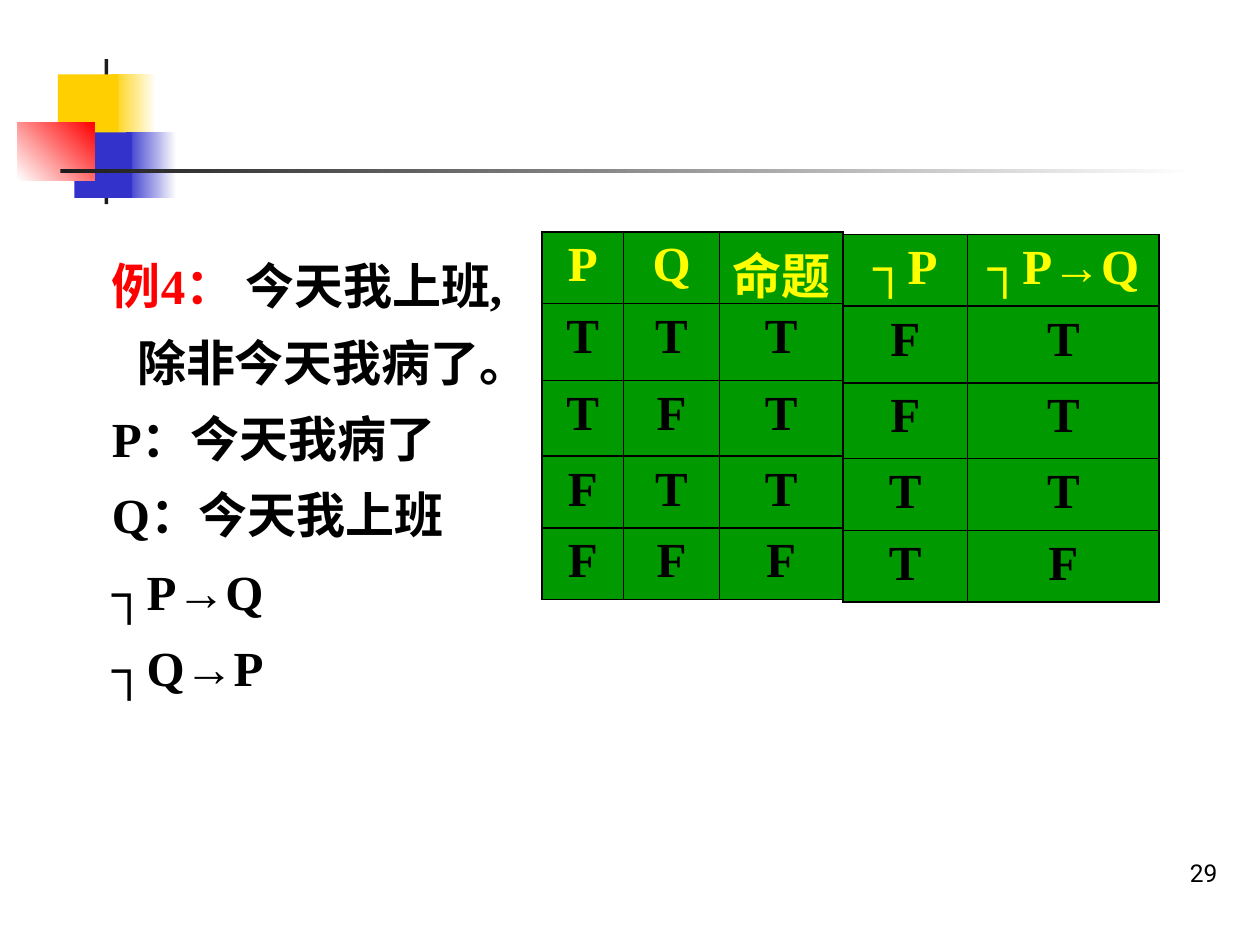
from lxml.etree import SubElement
from pptx import Presentation
from pptx.dml.color import RGBColor
from pptx.enum.shapes import MSO_SHAPE
from pptx.enum.text import MSO_ANCHOR, PP_ALIGN
from pptx.oxml.ns import qn
from pptx.util import Inches, Pt

BLACK, WHITE, RED, YELLOW, GREEN = "000000", "FFFFFF", "FF0000", "FFFF00", "009900"
GOLD, BLUE, DARK = "FFCF01", "3333CC", "1C1C1C"
SERIF = "Times New Roman"

# left, top, width, height, colours (two make a gradient), angle
ORNAMENTS = [
    (0.88, 0.59, 0.36, 0.52, (GOLD, WHITE), 0),
    (1.0, 1.05, 0.4, 0.52, (BLUE, WHITE), 0),
    (0.83, 0.47, 0.03, 1.15, (DARK,), 0),
    (0.46, 0.59, 0.48, 0.52, (GOLD,), 0),
    (0.59, 1.05, 0.46, 0.52, (BLUE,), 0),
    (0.14, 0.97, 0.61, 0.46, (WHITE, RED), 45),
    (0.48, 1.34, 9, 0.03, (DARK, WHITE), 0),
]
EXAMPLE = [[("例4：", RED), (" 今天我上班, 除非今天我病了。", BLACK)]]
SYMBOLS = [[(line, BLACK)] for line in ("P：今天我病了", "Q：今天我上班", "┐P→Q", "┐Q→P")]
ROW_HEIGHTS = [0.57, 0.61, 0.6, 0.57, 0.57]
# left, top, column widths, rows
TABLES = [
    (4.3, 1.84, [0.65, 0.76, 0.98],
     [["P", "Q", "命题"], "TTT", "TFT", "FTT", "FFF"]),
    (6.69, 1.86, [0.99, 1.52],
     [["┐P", "┐P→Q"], "FT", "FT", "TT", "TF"]),
]


def rgb(colour):
    return RGBColor.from_string(colour)


def add_span(para, text, size=28, font=SERIF, colour=BLACK, bold=True):
    span = para.add_run()
    span.text = text
    span.font.size = Pt(size)
    span.font.name = font
    span.font.bold = bold
    span.font.color.rgb = rgb(colour)


def add_ornament(slide, left, top, width, height, colours, angle):
    shape = slide.shapes.add_shape(
        MSO_SHAPE.RECTANGLE, Inches(left), Inches(top), Inches(width), Inches(height))
    shape.shadow.inherit = False
    shape.line.fill.background()
    if len(colours) == 1:
        shape.fill.solid()
        shape.fill.fore_color.rgb = rgb(colours[0])
        return
    shape.fill.gradient()
    shape.fill.gradient_angle = angle
    for stop, colour, position in zip(shape.fill.gradient_stops, colours, (0, 1)):
        stop.color.rgb = rgb(colour)
        stop.position = position


def add_text(slide, left, top, width, height, paragraphs, align=PP_ALIGN.LEFT,
             anchor=MSO_ANCHOR.TOP, line_spacing=1.0, hanging=0, right_inset=0.1, **style):
    box = slide.shapes.add_textbox(Inches(left), Inches(top), Inches(width), Inches(height))
    frame = box.text_frame
    frame.word_wrap = True
    frame.vertical_anchor = anchor
    frame.margin_right = Inches(right_inset)
    for index, spans in enumerate(paragraphs):
        para = frame.add_paragraph() if index else frame.paragraphs[0]
        para.alignment = align
        para.line_spacing = line_spacing
        if hanging:
            properties = para._p.get_or_add_pPr()
            properties.set("marL", str(Inches(hanging)))
            properties.set("indent", str(-Inches(hanging)))
        for text, colour in spans:
            add_span(para, text, colour=colour, **style)


def add_borders(cell, colour=BLACK, width=1):
    properties = cell._tc.get_or_add_tcPr()
    for index, side in enumerate(("lnL", "lnR", "lnT", "lnB")):
        line = properties.makeelement(qn(f"a:{side}"), {"w": str(Pt(width))})
        properties.insert(index, line)
        fill = SubElement(line, qn("a:solidFill"))
        SubElement(fill, qn("a:srgbClr"), val=colour)


def add_truth_table(slide, left, top, widths, rows):
    table = slide.shapes.add_table(
        len(rows), len(widths), Inches(left), Inches(top),
        Inches(sum(widths)), Inches(sum(ROW_HEIGHTS))).table
    for column, width in zip(table.columns, widths):
        column.width = Inches(width)
    for row, height in zip(table.rows, ROW_HEIGHTS):
        row.height = Inches(height)
    for row_index, values in enumerate(rows):
        for column_index, value in enumerate(values):
            cell = table.cell(row_index, column_index)
            cell.fill.solid()
            cell.fill.fore_color.rgb = rgb(GREEN)
            add_borders(cell)
            para = cell.text_frame.paragraphs[0]
            para.alignment = PP_ALIGN.CENTER
            add_span(para, value, colour=BLACK if row_index else YELLOW)


def main():
    deck = Presentation()
    deck.slide_width, deck.slide_height = Inches(10), Inches(7.5)
    slide = deck.slides.add_slide(deck.slide_layouts[6])
    for ornament in ORNAMENTS:
        add_ornament(slide, *ornament)
    add_text(slide, 7.68, 6.59, 2.08, 0.5, [[("29", BLACK)]], align=PP_ALIGN.RIGHT,
             anchor=MSO_ANCHOR.BOTTOM, size=14, font="Roboto", bold=False)
    add_text(slide, 0.79, 1.84, 3.5, 1.26, EXAMPLE, line_spacing=1.3,
             hanging=0.2, right_inset=0)
    add_text(slide, 0.79, 3.05, 3.35, 2.55, SYMBOLS, line_spacing=1.3)
    for table in TABLES:
        add_truth_table(slide, *table)
    deck.save("out.pptx")


if __name__ == "__main__":
    main()
